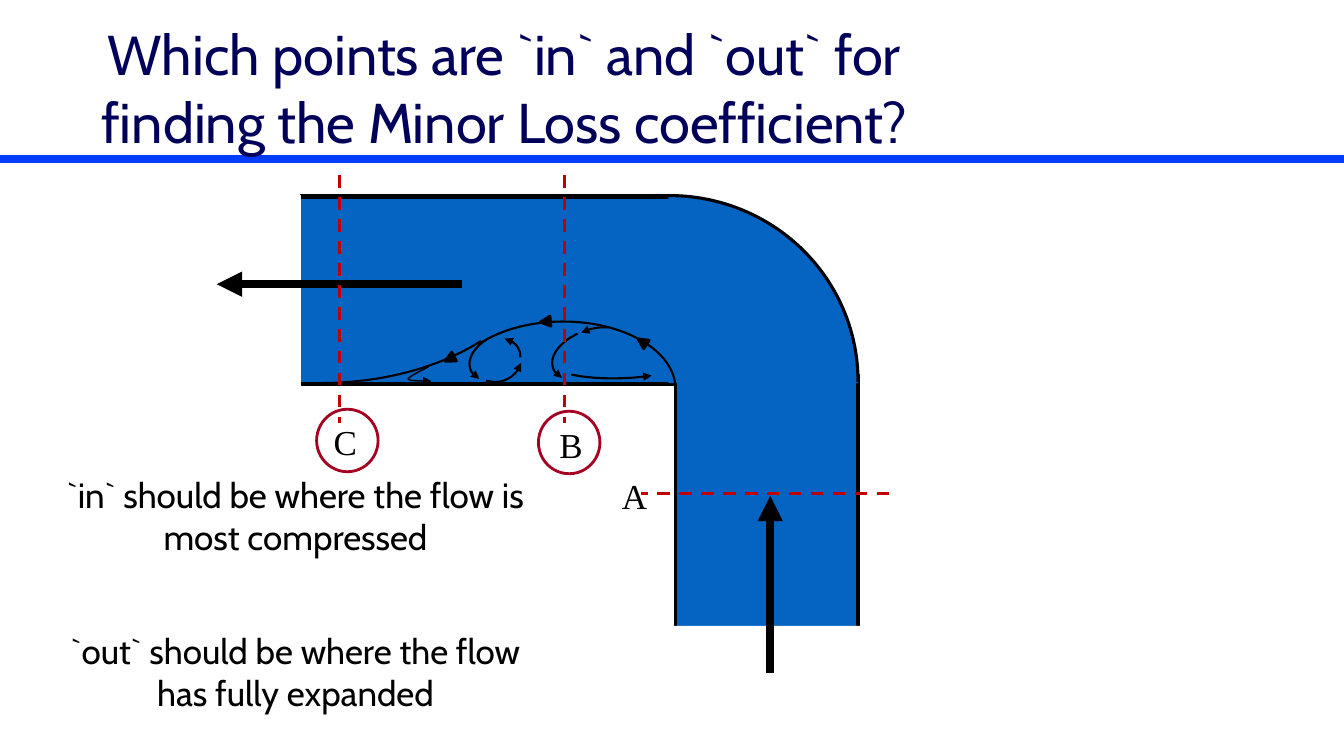
import lxml.etree
import pptx
import pptx.util
import pptx.dml.color
import pptx.enum.dml
import pptx.enum.shapes
import pptx.enum.text
import pptx.oxml.ns
from pptx.util import Inches

COLORS = {"bar": "003CFE", "title": "00005A", "black": "000000", "white": "FFFFFF",
          "water": "0563C1", "ring": "A50021", "section": "C00000"}
SHAPE = pptx.enum.shapes.MSO_SHAPE
STRAIGHT = pptx.enum.shapes.MSO_CONNECTOR.STRAIGHT
ALIGN = pptx.enum.text.PP_ALIGN
qn = pptx.oxml.ns.qn


def rgb(name):
    return pptx.dml.color.RGBColor.from_string(COLORS[name])


def style(sp, line=None, width=1, fill=None, dash=False, arrow=False):
    if hasattr(sp, "fill"):
        if fill:
            sp.fill.solid()
            sp.fill.fore_color.rgb = rgb(fill)
        else:
            sp.fill.background()
    if line:
        sp.line.color.rgb = rgb(line)
        sp.line.width = pptx.util.Pt(width)
    else:
        sp.line.fill.background()
    if dash:
        sp.line.dash_style = pptx.enum.dml.MSO_LINE.DASH
    spPr = sp._element.spPr
    if arrow:
        lxml.etree.SubElement(spPr.find(qn("a:ln")), qn("a:tailEnd"), type="triangle")
    lxml.etree.SubElement(spPr, qn("a:effectLst"))


prs = pptx.Presentation()
prs.slide_width, prs.slide_height = Inches(13.33), Inches(7.5)
s = prs.slides.add_slide(prs.slide_layouts[5])
shapes = s.shapes

bar = shapes.add_connector(STRAIGHT, 0, Inches(1.58), Inches(13.33), Inches(1.58))
style(bar, "bar", 6)
shapes._spTree.insert(2, bar._element)

title = shapes.title
title.left, title.top, title.width, title.height = map(Inches, (0.58, 0.24, 8.84, 1.25))
tf = title.text_frame
tf.text = "Which points are `in` and `out` for finding the Minor Loss coefficient?"
tf.word_wrap = True
tf.auto_size = pptx.enum.text.MSO_AUTO_SIZE.NONE
tf.vertical_anchor = pptx.enum.text.MSO_ANCHOR.MIDDLE

for x, y in [(5.34, 4.08), (3.14, 4.06)]:
    ring = shapes.add_shape(SHAPE.OVAL, *map(Inches, (x, y, 0.61, 0.62)))
    style(ring, "ring", 2)

for box, fill, line, width in [
    ((6.7, 3.72, 1.81, 2.54), "water", "black", 2.25),
    ((6.68, 6.21, 1.88, 0.12), "white", None, 0),
    ((2.9, 1.95, 3.78, 1.86), "water", "black", 3),
    ((2.79, 1.94, 0.18, 1.93), "white", "white", 2),
]:
    pipe = shapes.add_shape(SHAPE.RECTANGLE, *map(Inches, box))
    style(pipe, line, width, fill)

ELBOW = [[(6.63, 1.94), (7.67, 1.94), (8.51, 2.77), (8.51, 3.8)]]
HOOK = [[(4.25, 3.64), (4.15, 3.69), (4.05, 3.74), (4.05, 3.76)],
        [(4.05, 3.76), (4.05, 3.78), (4.17, 3.78), (4.28, 3.78)]]
STEPS = 24
curves = []
for beziers, corner in [(ELBOW, [(6.63, 3.8)]), (HOOK, [])]:
    points = [beziers[0][0]]
    for a, b, c, d in beziers:
        for i in range(1, STEPS + 1):
            t = i / STEPS
            u = 1 - t
            points.append(tuple(u**3 * a[k] + 3 * u * u * t * b[k] + 3 * u * t * t * c[k]
                                + t**3 * d[k] for k in (0, 1)))
    points = [(Inches(x), Inches(y)) for x, y in points + corner]
    fb = shapes.build_freeform(*points[0])
    fb.add_line_segments(points[1:], close=bool(corner))
    curves.append(fb.convert_to_shape())
elbow, hook = curves
style(elbow, fill="water")
style(hook, "black", 1, arrow=True)

for box, rotation, start, end, width, eddy in [
    ((4.77, 1.94, 3.74, 3.68), 0, 161.759, 0.192, 2.25, False),
    ((4.47, 3.19, 2.23, 1.33), 0, 124.551, 0, 1.5, False),
    ((0.95, 1.01, 4.46, 2.79), 180, 126.946, 161.219, 1.5, False),
    ((5.67, 3.14, 0.52, 0.75), 255.3, 86.04, 121.772, 1.5, True),
    ((5.68, 3.03, 0.54, 0.97), 255.3, 127.711, 172.343, 1.5, True),
    ((5.94, 2.62, 0.54, 1.72), 266.9, 174.172, 25.516, 1.5, True),
    ((4.86, 3.04, 0.54, 0.97), 255.3, 136.015, 172.343, 1.5, True),
    ((4.64, 3.25, 0.54, 0.54), 255.3, 195.791, 34.709, 1.5, True),
    ((4.69, 3.29, 0.41, 0.54), 255.3, 47.21, 82.068, 1.5, True),
]:
    arc = shapes.add_shape(SHAPE.ARC, *map(Inches, box))
    arc.adjustments[0], arc.adjustments[1] = start, end
    arc.rotation = rotation
    if eddy:
        arc._element.spPr.find(qn("a:xfrm")).set("flipH", "1")
    style(arc, "black", width, arrow=eddy)

for x, y, rotation in [(6.32, 3.34, 303.6), (5.36, 3.14, 264.8), (4.41, 3.51, 242.4)]:
    head = shapes.add_shape(SHAPE.ISOSCELES_TRIANGLE, *map(Inches, (x, y, 0.1, 0.1)))
    head.rotation = rotation
    style(head, "black", 2, "black")

for ends in [(7.64, 6.68, 7.64, 4.92), (4.58, 2.82, 2.15, 2.82)]:
    flow = shapes.add_connector(STRAIGHT, *map(Inches, ends))
    style(flow, "black", 6, arrow=True)

texts = [(tf, 40, "Cabin", "title", ALIGN.CENTER)]
for text, box, size, font, align in [
    ("`in` should be where the flow is most compressed",
     (0.39, 4.65, 5.08, 0.94), 25, "Cabin", ALIGN.CENTER),
    ("`out` should be where the flow has fully expanded",
     (0.39, 6.2, 5.08, 0.94), 25, "Cabin", ALIGN.CENTER),
    ("B", (5.45, 4.15, 0.34, 0.41), 25, "Times New Roman", ALIGN.LEFT),
    ("A", (6.07, 4.66, 0.36, 0.41), 25, "Times New Roman", ALIGN.LEFT),
    ("C", (3.21, 4.12, 0.34, 0.41), 25, "Times New Roman", ALIGN.LEFT),
]:
    tf = shapes.add_textbox(*map(Inches, box)).text_frame
    tf.text = text
    tf.word_wrap = len(text) > 1
    texts.append((tf, size, font, "black", align))

for tf, size, font, color, align in texts:
    p = tf.paragraphs[0]
    p.alignment = align
    p.font.size = pptx.util.Pt(size)
    p.font.name = font
    p.font.color.rgb = rgb(color)

for ends in [(3.37, 1.74, 3.37, 4.2), (5.6, 1.74, 5.6, 4.2), (8.82, 4.9, 6.36, 4.9)]:
    section = shapes.add_connector(STRAIGHT, *map(Inches, ends))
    style(section, "section", 2.25, dash=True)

prs.save("out.pptx")
